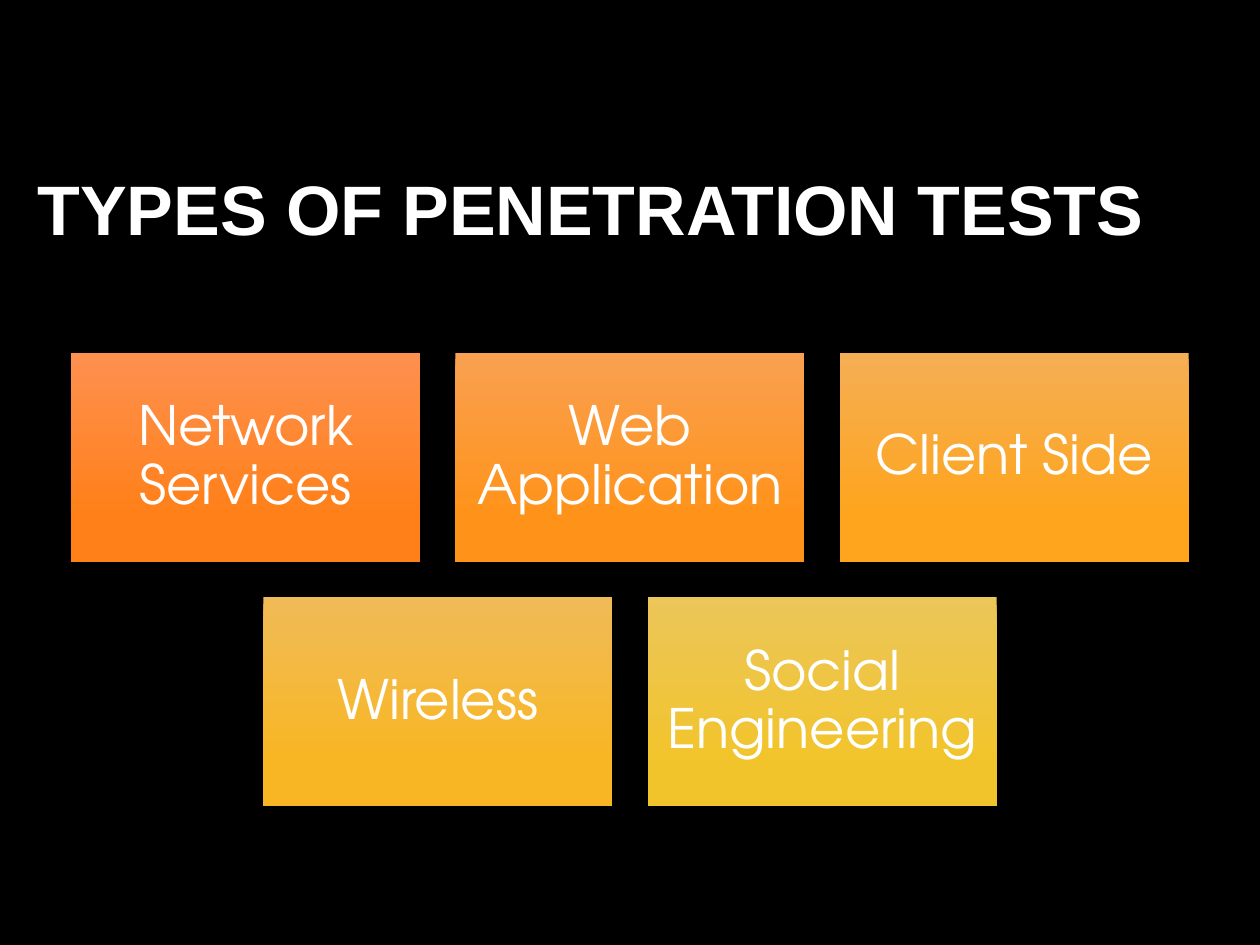
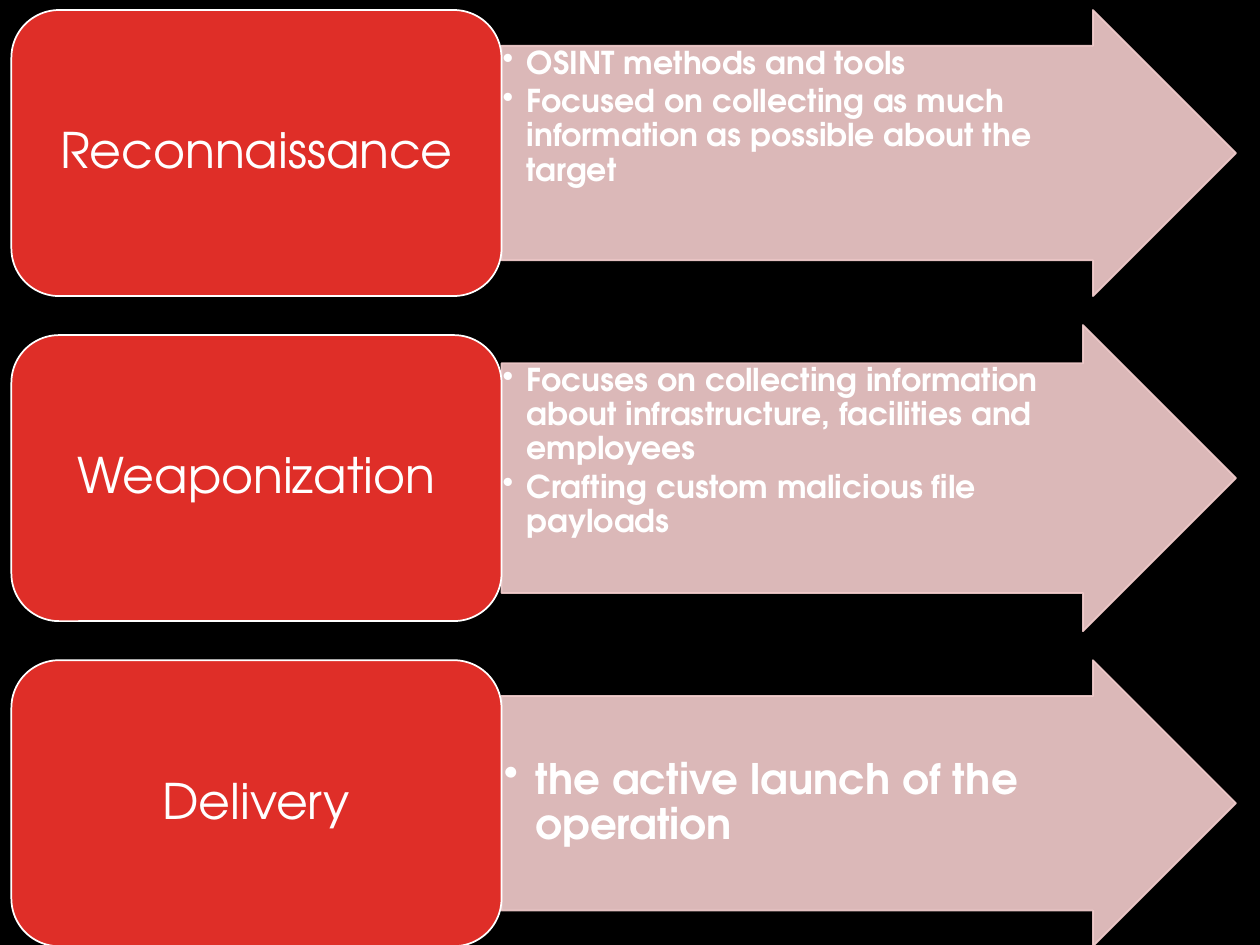
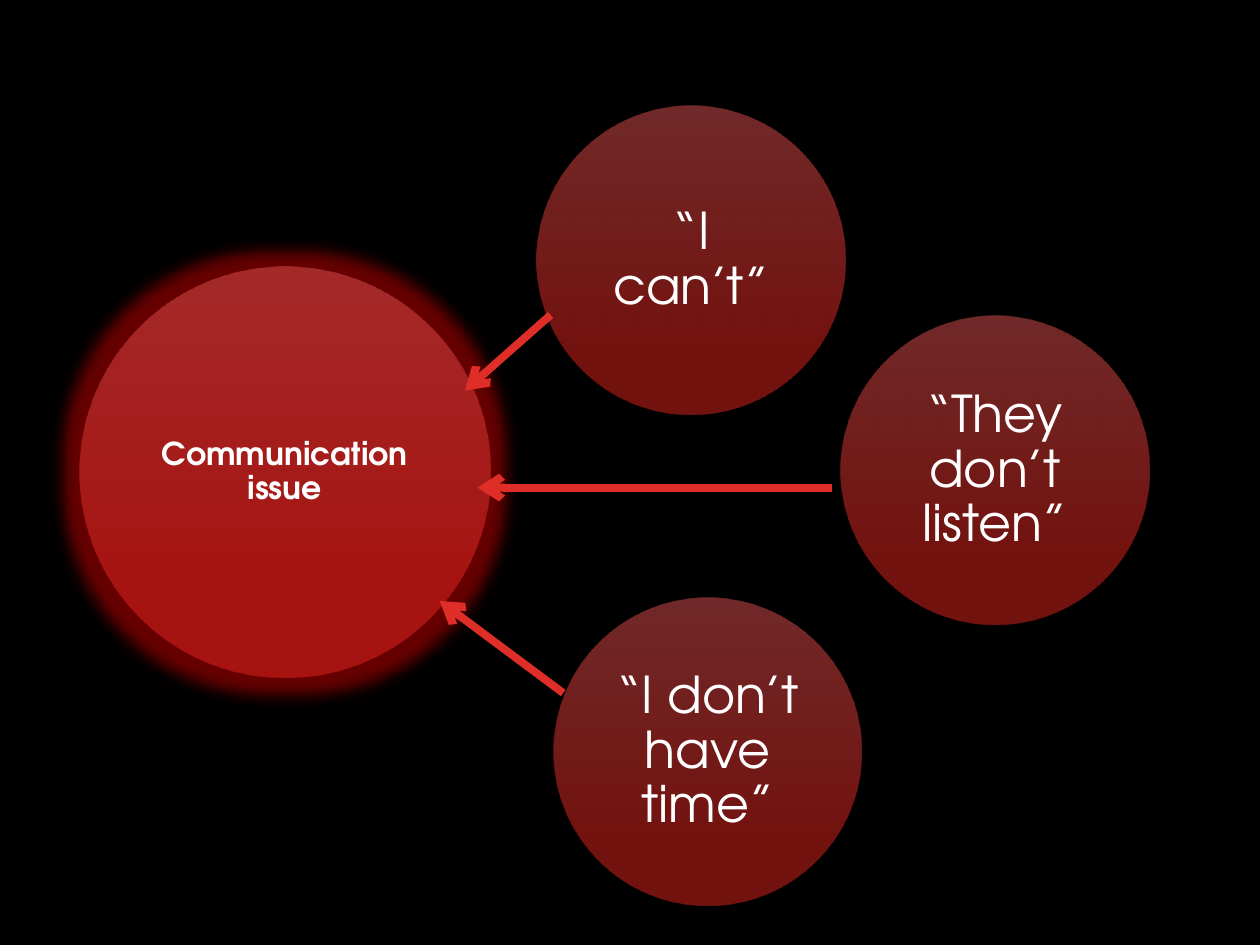
from lxml import etree
from pptx import Presentation
from pptx.dml.color import RGBColor
from pptx.enum import shapes, text
from pptx.oxml import ns
from pptx.util import Inches, Pt

BLACK, WHITE, RED, PINK = "000000", "FFFFFF", "DF2E28", "F3CDCD"
CIRCLE_GRADIENT = ("E25452", "E8251F")


def color(value):
    return RGBColor.from_string(value)


def add_element(parent, tag, **attributes):
    return etree.SubElement(parent, ns.qn(tag), attributes)


class Deck:
    font = "TeX Gyre Adventor"

    def __init__(self):
        self.presentation = Presentation()
        self.presentation.slide_width = Inches(10)
        self.presentation.slide_height = Inches(7.5)
        self.slide = None

    def new_slide(self):
        self.slide = self.presentation.slides.add_slide(self.presentation.slide_layouts[6])
        background = self.slide.background.fill
        background.solid()
        background.fore_color.rgb = color(BLACK)

    def shape(self, kind, left, top, width, height, fill, line=None, opacity=100):
        shape = self.slide.shapes.add_shape(
            kind, Inches(left), Inches(top), Inches(width), Inches(height))
        shape.shadow.inherit = False
        if isinstance(fill, tuple):
            shape.fill.gradient()
            shape.fill.gradient_angle = 270
            for stop, position, value in zip(shape.fill.gradient_stops, (0, 0.78), fill):
                stop.position = position
                stop.color.rgb = color(value)
        else:
            shape.fill.solid()
            shape.fill.fore_color.rgb = color(fill)
        if line:
            shape.line.color.rgb = color(line)
            shape.line.width = Pt(1)
        else:
            shape.line.fill.background()
        if opacity < 100:
            for element in list(shape._element.spPr.iter(ns.qn("a:srgbClr"))):
                add_element(element, "a:alpha", val=str(opacity * 1000))
        return shape

    def glow(self, shape, value, radius, opacity):
        effects = shape._element.spPr.find(ns.qn("a:effectLst"))
        glow = add_element(effects, "a:glow", rad=str(Pt(radius)))
        element = add_element(glow, "a:srgbClr", val=value)
        add_element(element, "a:alpha", val=str(opacity * 1000))

    def add_text(self, shape, paragraphs, size, insets, bold=False, font=None,
                 align=text.PP_ALIGN.CENTER, anchor=text.MSO_ANCHOR.MIDDLE,
                 after=0.35, indent=0):
        frame = shape.text_frame
        frame.word_wrap = True
        frame.vertical_anchor = anchor
        (frame.margin_left, frame.margin_top,
         frame.margin_right, frame.margin_bottom) = map(Inches, insets)
        for number, content in enumerate(paragraphs):
            paragraph = frame.add_paragraph() if number else frame.paragraphs[0]
            paragraph.alignment = align
            paragraph.line_spacing = 0.9
            paragraph.space_after = Pt(size * after)
            if indent:
                paragraph.level = 1
                properties = paragraph._p.get_or_add_pPr()
                properties.set("marL", str(Inches(indent)))
                properties.set("indent", str(-Inches(indent)))
                add_element(properties, "a:buChar", char="•")
            run = paragraph.add_run()
            run.text = content
            run.font.name = font or self.font
            run.font.size = Pt(size)
            run.font.bold = bold
            run.font.color.rgb = color(WHITE)

    def title(self, content):
        box = self.slide.shapes.add_textbox(
            Inches(0.2), Inches(0.97), Inches(9.04), Inches(1.44))
        self.add_text(box, [content], 40, (0.1, 0.05, 0.1, 0.05), bold=True, font="Arial",
                      align=text.PP_ALIGN.LEFT, after=0)

    def tile(self, left, top, width, height, label, gradient):
        shape = self.shape(shapes.MSO_SHAPE.RECTANGLE, left, top, width, height, gradient)
        self.add_text(shape, [label], 31, (0.13,) * 4)

    def stage(self, top, label, bullets, arrow_height, size, inset, indent, anchor):
        height = 2.27
        arrow = self.shape(shapes.MSO_SHAPE.RIGHT_ARROW, 3.98,
                           top + (height - arrow_height) / 2, 5.83, arrow_height,
                           PINK, PINK, 90)
        arrow.adjustments[0] = 0.75
        arrow.adjustments[1] = 0.5
        insets = (inset, inset, inset + arrow_height / 4, inset)
        self.add_text(arrow, bullets, size, insets, bold=True, align=text.PP_ALIGN.LEFT,
                      anchor=anchor, after=0.15, indent=indent)
        block = self.shape(shapes.MSO_SHAPE.ROUNDED_RECTANGLE, 0.09, top, 3.89, height,
                           RED, WHITE)
        self.add_text(block, [label], 28, (0.12, 0.06, 0.12, 0.06))

    def circle(self, left, top, diameter, label, size, inset, bold=False):
        shape = self.shape(shapes.MSO_SHAPE.OVAL, left, top, diameter, diameter,
                           CIRCLE_GRADIENT, opacity=50)
        self.add_text(shape, [label], size, (inset,) * 4, bold=bold)
        return shape

    def arrow(self, start, end):
        connector = self.slide.shapes.add_connector(
            shapes.MSO_CONNECTOR.STRAIGHT, *map(Inches, start + end))
        connector.line.color.rgb = color(RED)
        connector.line.width = Pt(4.5)
        properties = connector._element.spPr
        add_element(properties.get_or_add_ln(), "a:tailEnd", type="arrow")
        add_element(properties, "a:effectLst")


def add_test_types(deck):
    deck.new_slide()
    deck.title("TYPES OF PENETRATION TESTS")
    rows = [
        [("Network Services", ("FE904F", "FF8019")),
         ("Web Application", ("F9A051", "FF931A")),
         ("Client Side", ("F5AE53", "FEA51D"))],
        [("Wireless", ("F0BB56", "F8B625")),
         ("Social Engineering", ("EBC659", "F2C42C"))],
    ]
    width, height, gap = 2.77, 1.66, 0.28
    for row_number, row in enumerate(rows):
        left = 5 - (len(row) * (width + gap) - gap) / 2
        top = 2.8 + row_number * (height + gap)
        for column, (label, gradient) in enumerate(row):
            deck.tile(left + column * (width + gap), top, width, height, label, gradient)


def add_attack_stages(deck):
    deck.new_slide()
    small = (18, 0.01, 0.19, text.MSO_ANCHOR.TOP)
    large = (24, 0.02, 0.25, text.MSO_ANCHOR.MIDDLE)
    stages = [
        ("Reconnaissance",
         ["OSINT methods and tools",
          "Focused on collecting as much information as possible about the target"],
         2.27, small),
        ("Weaponization",
         ["Focuses on collecting information about infrastructure, facilities and employees",
          "Crafting custom malicious file payloads"],
         2.43, small),
        ("Delivery", ["the active launch of the operation"], 2.27, large),
    ]
    top, pitch = 0.08, 2.58
    for number, (label, bullets, arrow_height, style) in enumerate(stages):
        deck.stage(top + number * pitch, label, bullets, arrow_height, *style)


def add_communication_issue(deck):
    deck.new_slide()
    excuses = [
        (4.26, 0.84, "“I can’t”"),
        (4.39, 4.74, "“I don’t have time”"),
        (6.67, 2.51, "“They don’t listen”"),
    ]
    for left, top, label in excuses:
        deck.circle(left, top, 2.45, label, 29, 0.12)
    issue = deck.circle(0.63, 2.12, 3.26, "Communication issue", 18, 0.07, bold=True)
    deck.glow(issue, "FF0000", 18, 40)
    for start, end in [((4.37, 2.5), (3.69, 3.1)),
                       ((6.6, 3.87), (3.79, 3.87)),
                       ((4.47, 5.5), (3.49, 4.77))]:
        deck.arrow(start, end)


def main():
    deck = Deck()
    add_test_types(deck)
    add_attack_stages(deck)
    add_communication_issue(deck)
    deck.presentation.save("out.pptx")


if __name__ == "__main__":
    main()
